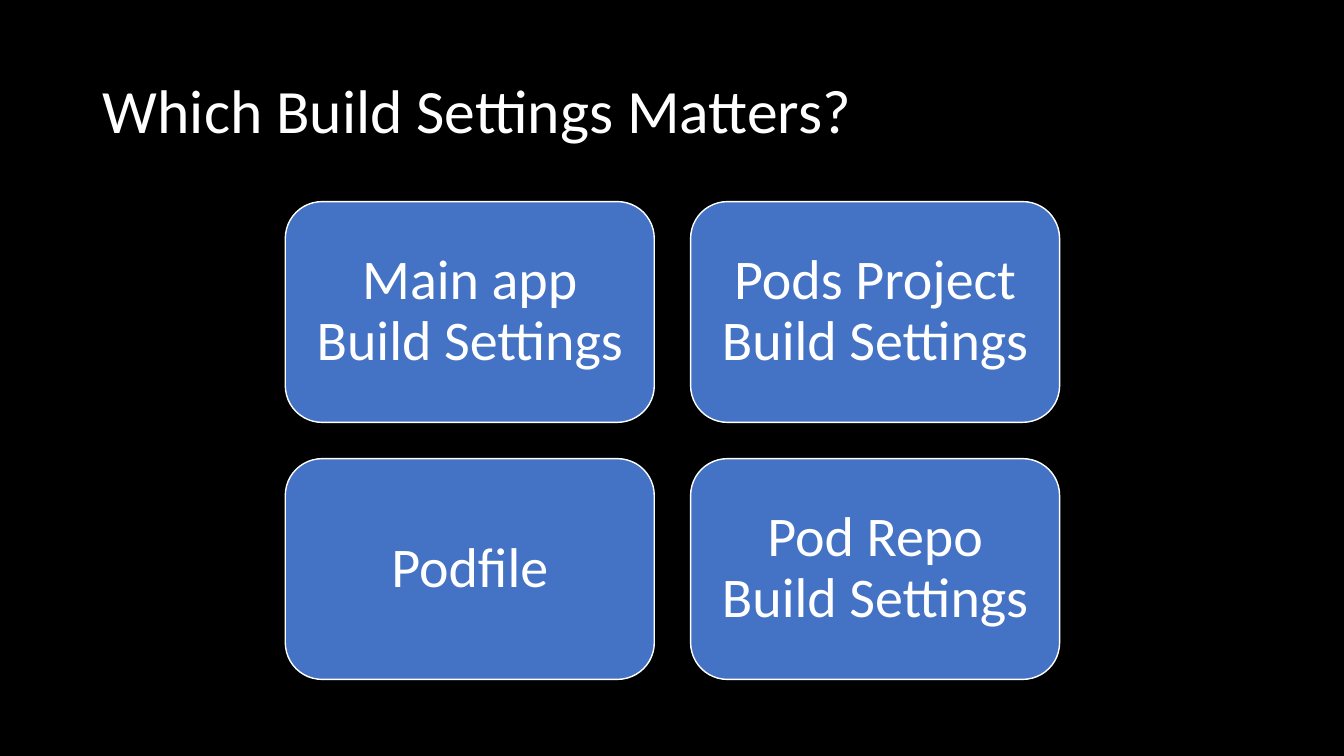
from pptx import Presentation
from pptx.dml.color import RGBColor
from pptx.enum.shapes import MSO_SHAPE
from pptx.enum.text import MSO_ANCHOR, MSO_AUTO_SIZE, PP_ALIGN
from pptx.util import Pt

ROUNDED = MSO_SHAPE.ROUNDED_RECTANGLE
MIDDLE = MSO_ANCHOR.MIDDLE
NO_FIT = MSO_AUTO_SIZE.NONE
LEFT, CENTER = PP_ALIGN.LEFT, PP_ALIGN.CENTER

EMU_PER_PX = 9144  # 100 px to the inch
BLACK, WHITE, BLUE = "000000", "FFFFFF", "4472C4"

# Grid of cards
GRID_LEFT, GRID_TOP = 283, 200
CARD_W, CARD_H, GAP = 366, 219, 36
CARDS = [
    ["Main app Build Settings", "Pods Project Build Settings"],
    ["Podfile", "Pod Repo Build Settings"],
]


def px(n):
    return n * EMU_PER_PX


def color(hex_value):
    return RGBColor.from_string(hex_value)


def set_attrs(obj, values):
    for name, value in values.items():
        setattr(obj, name, value)


def write_text(sp, text, size, align, margins):
    tf = sp.text_frame
    frame = {"word_wrap": True, "auto_size": NO_FIT, "vertical_anchor": MIDDLE}
    set_attrs(tf, {**frame, **margins})
    p = tf.paragraphs[0]
    set_attrs(p, {"alignment": align, "line_spacing": 0.9})
    r = p.add_run()
    r.text = text
    set_attrs(r.font, {"name": "Calibri", "size": Pt(size)})
    r.font.color.rgb = color(WHITE)


def add_title(s, text):
    sp = s.shapes.title
    set_attrs(sp, {"left": px(92), "top": px(40), "width": px(1150), "height": px(145)})
    write_text(sp, text, 44, LEFT, {"margin_left": px(10), "margin_right": px(10)})


def add_card(s, x, y, text):
    sp = s.shapes.add_shape(ROUNDED, px(x), px(y), px(CARD_W), px(CARD_H))
    sp.shadow.inherit = False
    sp.fill.solid()
    sp.fill.fore_color.rgb = color(BLUE)
    sp.line.color.rgb = color(WHITE)
    sp.line.width = Pt(1)
    sides = ("left", "top", "right", "bottom")
    write_text(sp, text, 40, CENTER, {f"margin_{side}": px(17) for side in sides})


def main():
    prs = Presentation()
    set_attrs(prs, {"slide_width": px(1333), "slide_height": px(750)})
    s = prs.slides.add_slide(prs.slide_layouts[5])

    # Background
    s.background.fill.solid()
    s.background.fill.fore_color.rgb = color(BLACK)

    # Title
    add_title(s, "Which Build Settings Matters?")

    # Cards, row by row
    for row, texts in enumerate(CARDS):
        for col, text in enumerate(texts):
            x = GRID_LEFT + col * (CARD_W + GAP)
            y = GRID_TOP + row * (CARD_H + GAP)
            add_card(s, x, y, text)

    prs.save("out.pptx")


if __name__ == "__main__":
    main()
